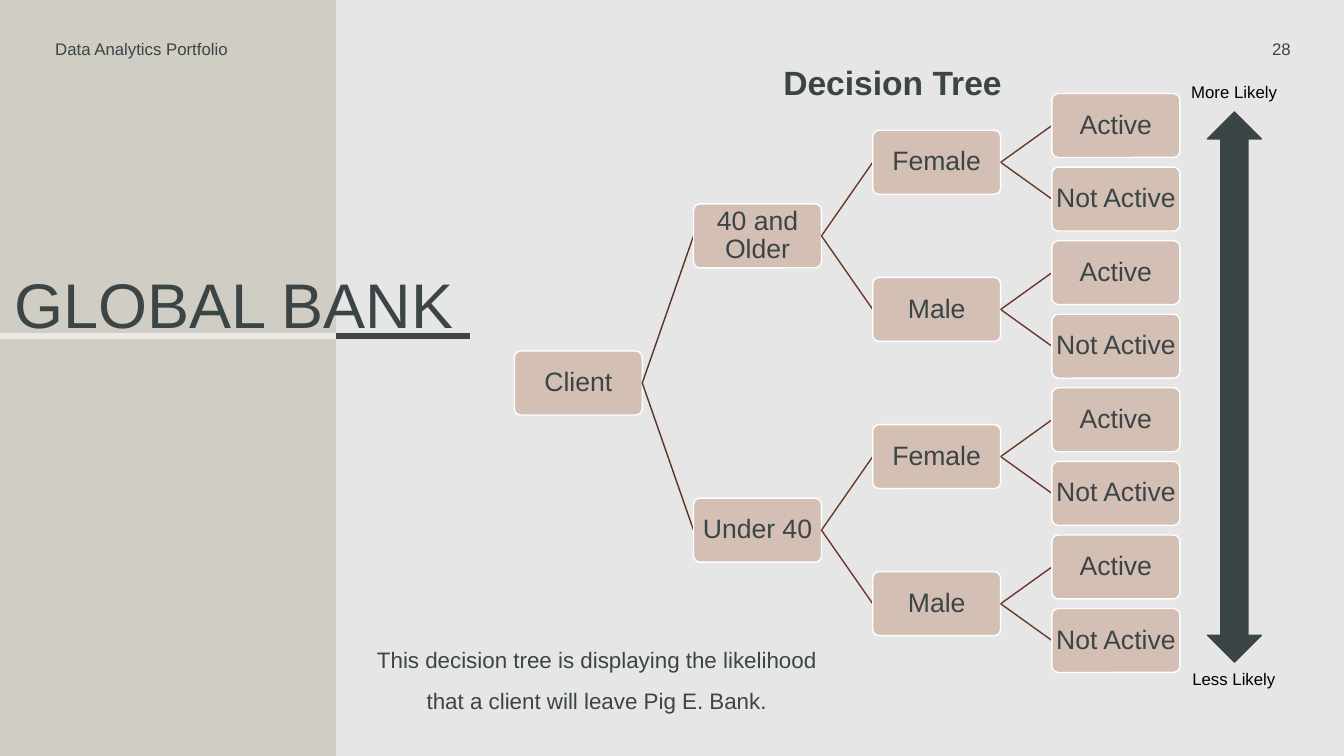
from lxml import etree
from pptx import Presentation
from pptx import util as u
from pptx.dml.color import RGBColor
from pptx.enum import shapes, text
from pptx.oxml import ns

BACKGROUND = RGBColor(0xE7, 0xE6, 0xE6)
SIDEBAR = RGBColor(0xD0, 0xCD, 0xC5)
PALE_RULE = RGBColor(0xED, 0xE9, 0xE6)
SLATE = RGBColor(0x3B, 0x45, 0x46)
NODE_FILL = RGBColor(0xD4, 0xBF, 0xB4)
ROOT_BRANCH = RGBColor(0x5E, 0x32, 0x23)
BRANCH = RGBColor(0x6A, 0x39, 0x28)
WHITE = RGBColor(0xFF, 0xFF, 0xFF)
BLACK = RGBColor(0x00, 0x00, 0x00)

# Decision tree: one list of labels per level, from root to leaves
LEVELS = [
    ["Client"],
    ["40 and Older", "Under 40"],
    ["Female", "Male"] * 2,
    ["Active", "Not Active"] * 4,
]
TREE_LEFT, TREE_TOP, TREE_HEIGHT = 367.4, 63.4, 420.4
LEVEL_STEP = 128
NODE_WIDTH, NODE_HEIGHT = 91.4, 45.7


def set_format(target, values):
    for name, value in values.items():
        setattr(target, name, value)


def write(shape, words, size, color=SLATE, paragraph_format=None, frame_format=None, bold=False):
    frame = shape.text_frame
    set_format(frame, {"word_wrap": True, **(frame_format or {})})
    paragraph = frame.paragraphs[0]
    set_format(paragraph, paragraph_format or {})
    run = paragraph.add_run()
    run.text = words
    set_format(run.font, {"name": "Arial", "size": u.Pt(size), "bold": bold})
    run.font.color.rgb = color


def add_label(slide, box, words, size, **options):
    shape = slide.shapes.add_textbox(*map(u.Pt, box))
    write(shape, words, size, **options)


def add_block(slide, kind, box, fill, outline=None):
    shape = slide.shapes.add_shape(kind, *map(u.Pt, box))
    shape.shadow.inherit = False
    shape.fill.solid()
    shape.fill.fore_color.rgb = fill
    if outline is None:
        shape.line.fill.background()
    else:
        shape.line.color.rgb = outline
        shape.line.width = u.Pt(1)
    return shape


def add_line(slide, start, end, color, width):
    line = slide.shapes.add_connector(
        shapes.MSO_CONNECTOR.STRAIGHT, *map(u.Pt, (*start, *end)))
    line.line.color.rgb = color
    line.line.width = u.Pt(width)
    etree.SubElement(line._element.spPr, ns.qn("a:effectLst"))


def add_node(slide, left, middle, words):
    box = (left, middle - NODE_HEIGHT / 2, NODE_WIDTH, NODE_HEIGHT)
    node = add_block(slide, shapes.MSO_SHAPE.ROUNDED_RECTANGLE, box, NODE_FILL, WHITE)
    node.adjustments[0] = 0.1
    margins = dict.fromkeys(
        ("margin_left", "margin_right", "margin_top", "margin_bottom"), u.Pt(1))
    write(node, words, 19,
          paragraph_format={"alignment": text.PP_ALIGN.CENTER, "line_spacing": 0.9},
          frame_format={"vertical_anchor": text.MSO_ANCHOR.MIDDLE, **margins})


def node_middle(level, index):
    return TREE_TOP + TREE_HEIGHT * (index + 0.5) / len(LEVELS[level])


def add_tree(slide):
    for level, labels in enumerate(LEVELS):
        left = TREE_LEFT + level * LEVEL_STEP
        for index, words in enumerate(labels):
            middle = node_middle(level, index)
            if level:
                parent = (left - LEVEL_STEP + NODE_WIDTH, node_middle(level - 1, index // 2))
                color = ROOT_BRANCH if level == 1 else BRANCH
                add_line(slide, parent, (left, middle), color, 1)
            add_node(slide, left, middle, words)


def main():
    presentation = Presentation()
    set_format(presentation, {"slide_width": u.Pt(960), "slide_height": u.Pt(540)})
    slide = presentation.slides.add_slide(presentation.slide_layouts[6])
    slide.background.fill.solid()
    slide.background.fill.fore_color.rgb = BACKGROUND

    # Sidebar and title rule
    add_block(slide, shapes.MSO_SHAPE.RECTANGLE, (0, 0, 240, 540), SIDEBAR)
    add_line(slide, (0, 240), (240, 240), PALE_RULE, 4.5)
    add_line(slide, (240, 240), (336, 240), SLATE, 4.5)

    # Title, header and page number
    centered = {"vertical_anchor": text.MSO_ANCHOR.MIDDLE}
    add_label(slide, (3.6, 194, 340, 45), "GLOBAL BANK", 45, frame_format=centered)
    add_label(slide, (32.4, 24, 144, 21.6), "Data Analytics Portfolio", 12,
              frame_format=centered)
    add_label(slide, (797, 24, 132, 21.6), "28", 12, frame_format=centered,
              paragraph_format={"alignment": text.PP_ALIGN.RIGHT})

    # Heading and explanation
    spaced = {"alignment": text.PP_ALIGN.CENTER, "line_spacing": 1.5}
    add_label(slide, (402.5, 26, 470, 39), "Decision Tree", 24,
              paragraph_format=spaced, bold=True)
    add_label(slide, (256.3, 448.6, 340, 68.4),
              "This decision tree is displaying the likelihood that a client "
              "will leave Pig E. Bank.", 16, paragraph_format=spaced)

    add_tree(slide)

    # Likelihood scale
    add_block(slide, shapes.MSO_SHAPE.UP_DOWN_ARROW, (862.5, 80, 38.5, 393), SLATE, SLATE)
    for words, left, top in (("More Likely", 843.8, 54.7), ("Less Likely", 844.6, 474.5)):
        add_label(slide, (left, top, 76, 21.6), words, 12, color=BLACK,
                  frame_format={"word_wrap": False})

    presentation.save("out.pptx")


if __name__ == "__main__":
    main()
